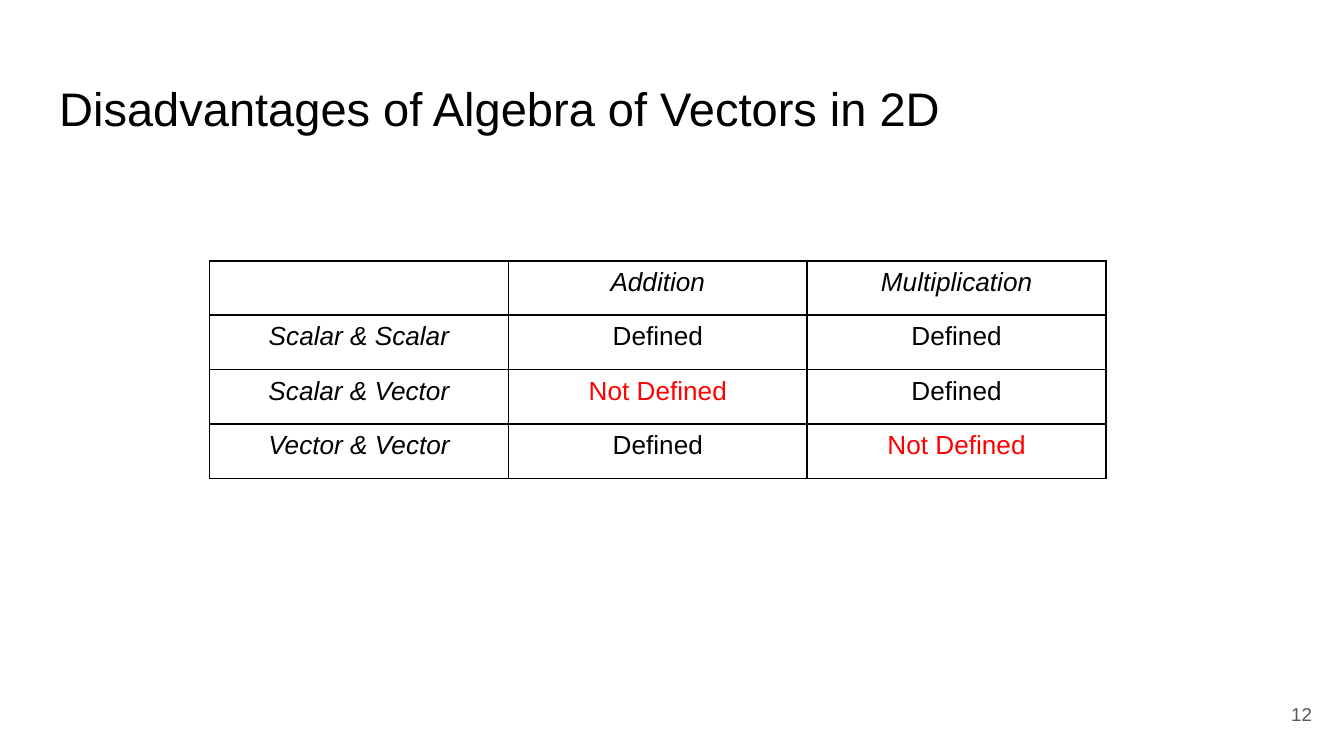
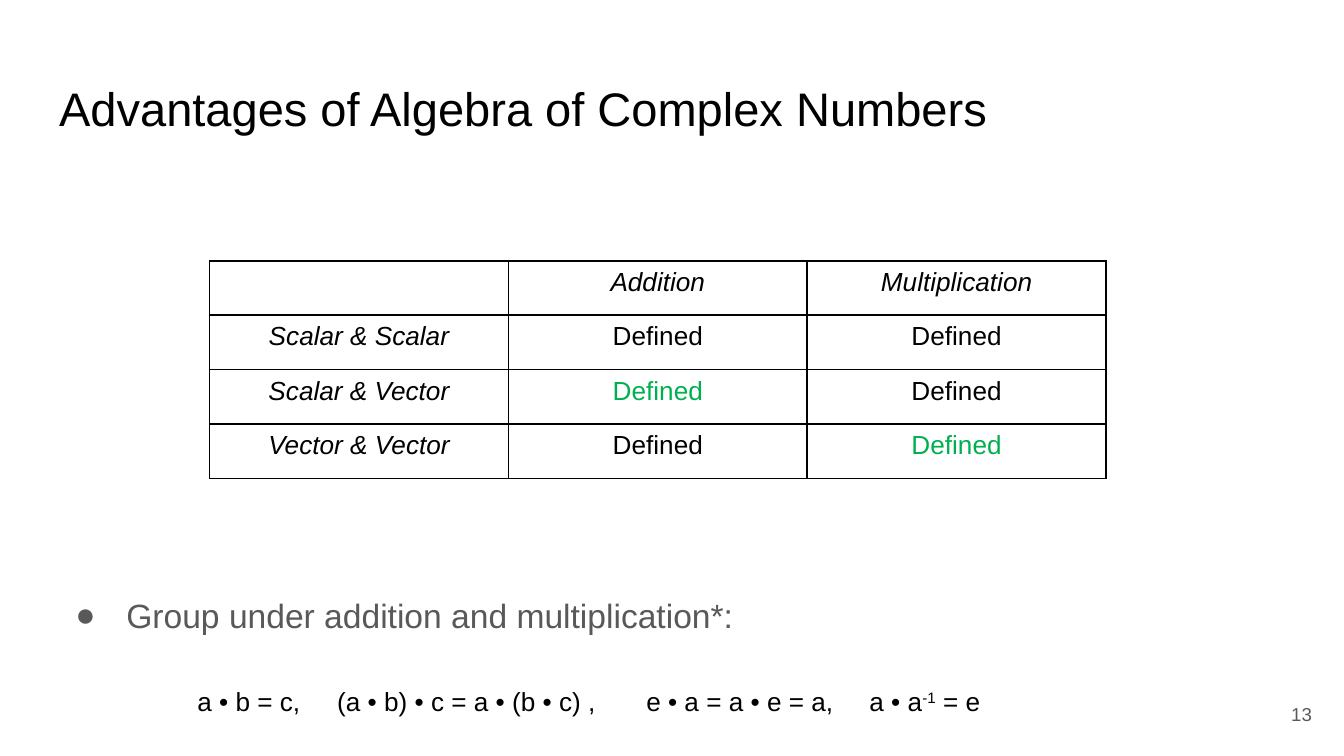
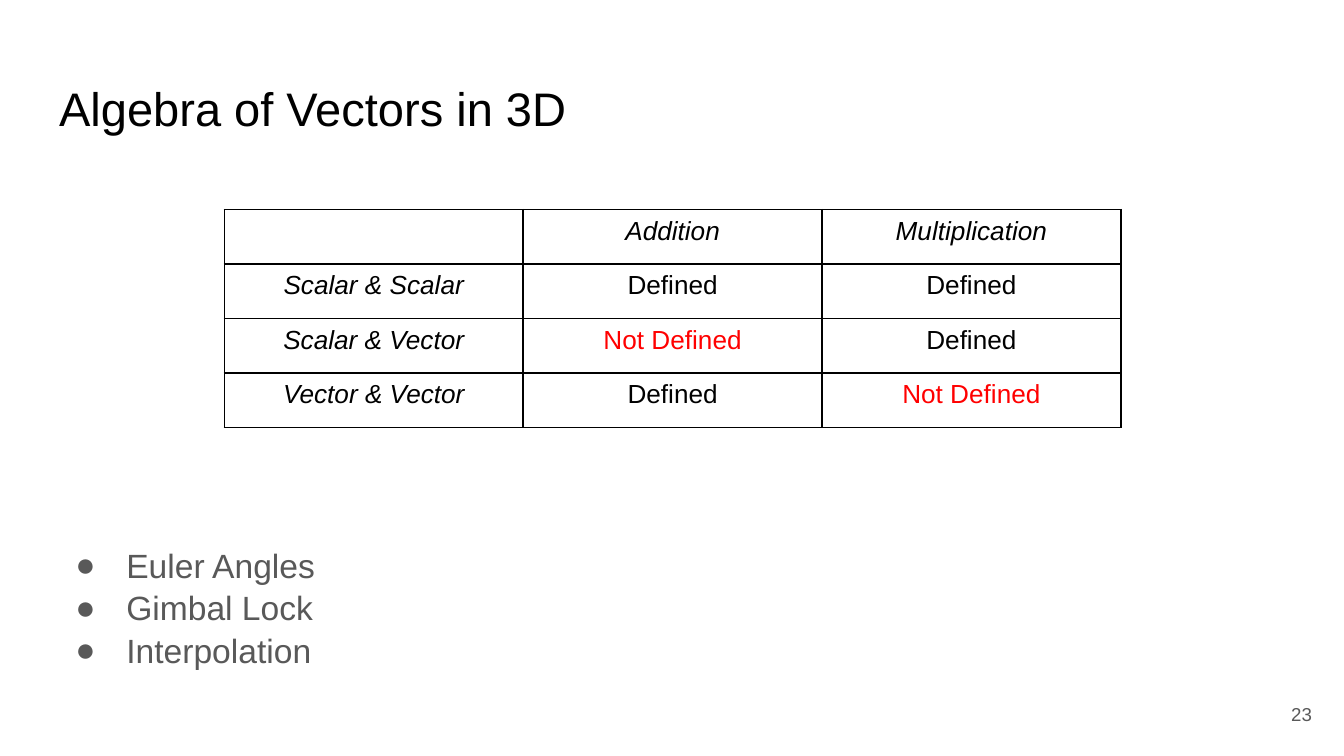
from dataclasses import dataclass

from lxml import etree
from pptx import Presentation
from pptx import util as u
from pptx.dml.color import RGBColor
from pptx.enum import text as t
from pptx.oxml import ns

PX = 9144  # EMU in one px, 100 px to the inch


@dataclass(frozen=True)
class Theme:
    font: str = "Arial"
    ink: str = "000000"
    gray: str = "595959"
    red: str = "FF0000"
    green: str = "00B050"
    title: float = 25.2
    body: float = 18
    cell: float = 14
    page: float = 10


THEME = Theme()
TITLE = (34, 49, 932, 63)
PAGE = (926, 510, 60, 43)
BODY = (34, 364, 530, 158)
RULE = (137, 505, 635, 34)
GRID = (667, 162)  # width and height of each table
HEADS = ["", "Addition", "Multiplication"]
PAIRS = ["Scalar & Scalar", "Scalar & Vector", "Vector & Vector"]
KEYS = {(2, 1), (3, 2)}  # cells that differ between the algebras


def px(n):
    return u.Emu(n * PX)


def node(up, tag, **atts):
    return etree.SubElement(up, ns.qn(tag), atts)


def style(para, size, color, italic=False):
    for run in para.runs:
        font = run.font
        font.name, font.size, font.italic = THEME.font, u.Pt(size), italic
        font.color.rgb = RGBColor.from_string(color)


def place(shape, box):
    shape.left, shape.top, shape.width, shape.height = map(px, box)


def frame(shape, inset=10, anchor=t.MSO_ANCHOR.TOP):
    tf = shape.text_frame
    tf.word_wrap, tf.auto_size = True, t.MSO_AUTO_SIZE.NONE
    tf.vertical_anchor = anchor
    tf.margin_left = tf.margin_right = px(10)
    tf.margin_top = tf.margin_bottom = px(inset)
    return tf


# Title and page number
def base(deck, layout, title, page):
    slide = deck.slides.add_slide(deck.slide_layouts[layout])
    head = slide.shapes.title
    place(head, TITLE)
    tf = frame(head)
    tf.text = title
    tf.paragraphs[0].alignment = t.PP_ALIGN.LEFT
    style(tf.paragraphs[0], THEME.title, THEME.ink)

    tf = frame(slide.shapes.add_textbox(*map(px, PAGE)), anchor=t.MSO_ANCHOR.MIDDLE)
    tf.text = str(page)
    tf.paragraphs[0].alignment = t.PP_ALIGN.RIGHT
    style(tf.paragraphs[0], THEME.page, THEME.gray)
    return slide


# Table of operations
def edge(cell):
    props = cell._tc.get_or_add_tcPr()
    for side in "LRTB":
        line = node(props, f"a:ln{side}", w=str(u.Pt(1)))
        node(node(line, "a:solidFill"), "a:srgbClr", val=THEME.ink)
    cell.fill.background()


def grid(slide, left, top, word, color):
    rows, cols = len(PAIRS) + 1, len(HEADS)
    wide, high = map(px, GRID)
    table = slide.shapes.add_table(rows, cols, px(left), px(top), wide, high).table
    table.first_row = table.horz_banding = False
    for col in table.columns:
        col.width = wide // cols
    for r, row in enumerate(table.rows):
        row.height = high // rows
        for c, cell in enumerate(row.cells):
            key = (r, c) in KEYS
            label = r == 0 or c == 0
            if label:
                cell.text = HEADS[c] if r == 0 else PAIRS[r - 1]
            else:
                cell.text = word if key else "Defined"
            para = cell.text_frame.paragraphs[0]
            para.alignment = t.PP_ALIGN.CENTER
            style(para, THEME.cell, color if key else THEME.ink, label)
            edge(cell)


# Bullet list, set lower in its box by the top margin
def points(slide, items, drop, space):
    body = slide.placeholders[1]
    place(body, BODY)
    tf = frame(body)
    tf.margin_top = px(drop)
    tf.text = "\n".join(items)
    for para in tf.paragraphs:
        props = para._p.get_or_add_pPr()
        props.set("marL", str(px(50)))
        props.set("indent", str(px(-38)))
        node(node(props, "a:buClr"), "a:srgbClr", val=THEME.gray)
        node(props, "a:buFont", typeface=THEME.font)
        node(props, "a:buChar", char="●")
        para.line_spacing = space
        para.space_before = u.Pt(0)
        style(para, THEME.body, THEME.gray)


# Group laws on one line, spaced by tab stops
def laws(slide):
    tf = frame(slide.shapes.add_textbox(*map(px, RULE)), 5)
    para = tf.paragraphs[0]
    tabs = node(para._p.get_or_add_pPr(), "a:tabLst")
    for stop in (104, 334, 500):
        node(tabs, "a:tab", pos=str(px(stop)), algn="l")
    para.text = "a • b = c,\t(a • b) • c = a • (b • c) ,\te • a = a • e = a,\ta • a"
    power = para.add_run()
    power.text = "-1"
    para.add_run().text = " = e"
    style(para, THEME.cell, THEME.ink)
    power._r.get_or_add_rPr().set("baseline", "30000")


def main():
    deck = Presentation()
    deck.slide_width = px(1000)
    deck.slide_height = deck.slide_width * 9 // 16

    slide = base(deck, 5, "Disadvantages of Algebra of Vectors in 2D", 12)
    grid(slide, 156, 194, "Not Defined", THEME.red)

    slide = base(deck, 1, "Advantages of Algebra of Complex Numbers", 13)
    grid(slide, 156, 194, "Defined", THEME.green)
    points(slide, ["Group under addition and multiplication*:"], 74, 1.15)
    laws(slide)

    slide = base(deck, 1, "Algebra of Vectors in 3D", 23)
    grid(slide, 167, 156, "Not Defined", THEME.red)
    points(slide, ["Euler Angles", "Gimbal Lock", "Interpolation"], 40, 1.05)

    deck.save("out.pptx")


if __name__ == "__main__":
    main()
